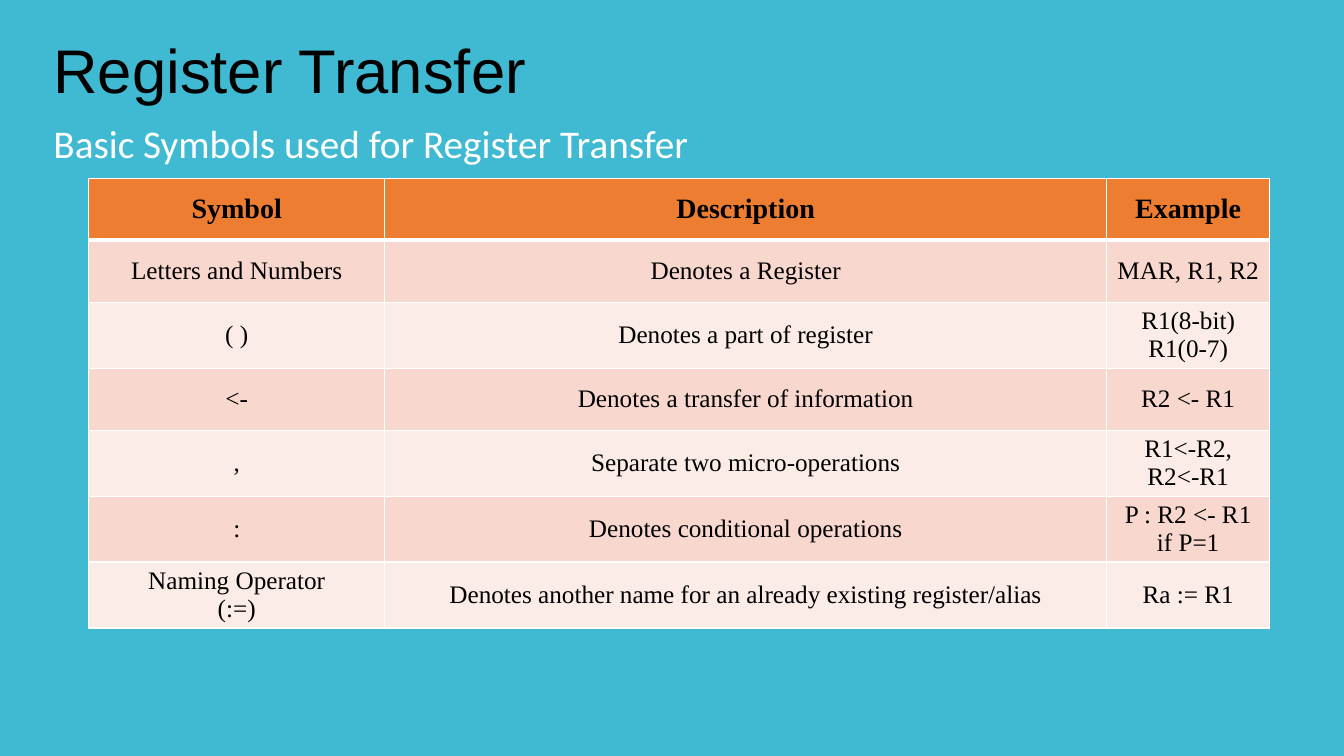
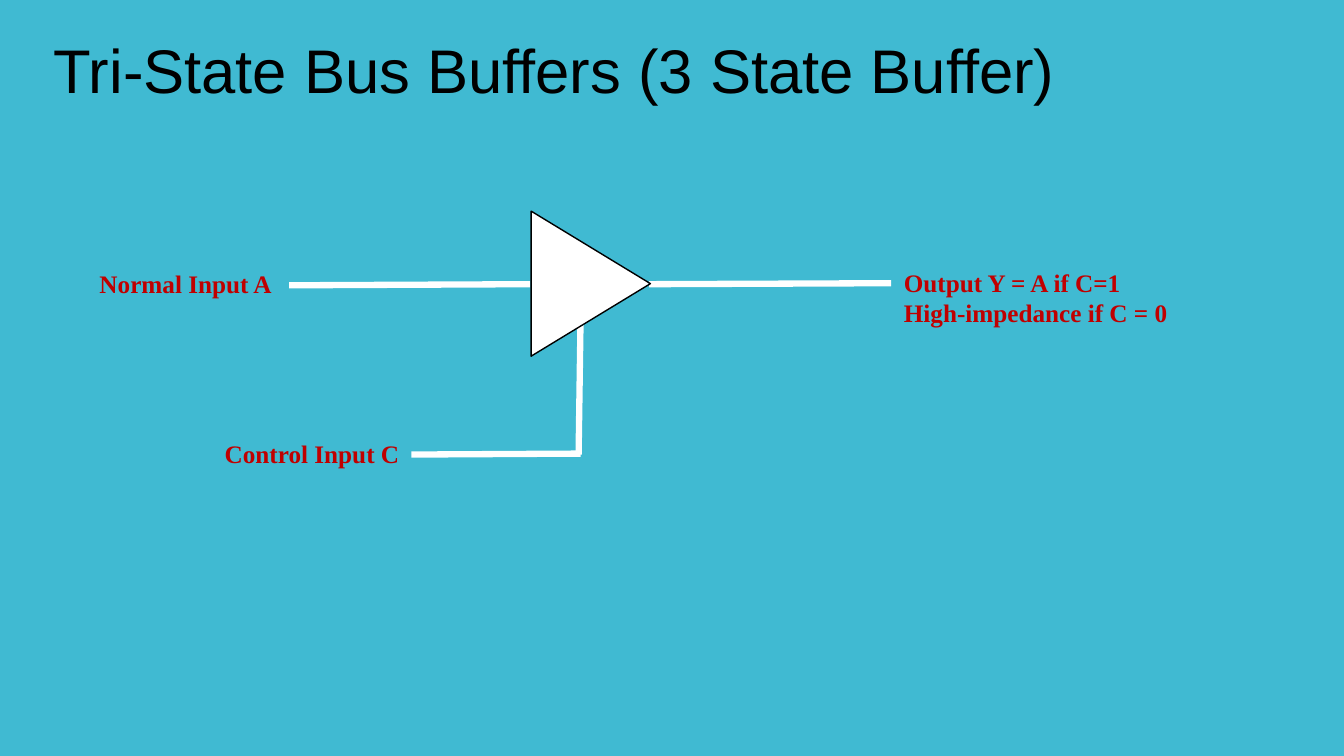
"""Build two slides on register transfer symbols and the tri-state buffer."""
from dataclasses import dataclass

from lxml.etree import SubElement
from pptx import Presentation
from pptx.dml.color import RGBColor as Color
from pptx.enum.shapes import MSO_CONNECTOR as Connector, MSO_SHAPE as Shape
from pptx.enum.text import MSO_ANCHOR as Anchor, MSO_AUTO_SIZE as AutoSize, PP_ALIGN as Align
from pptx.oxml.ns import qn
from pptx.util import Pt


@dataclass(frozen=True)
class Theme:
    background: Color = Color(0x40, 0xBA, 0xD2)
    black: Color = Color(0, 0, 0)
    white: Color = Color(0xFF, 0xFF, 0xFF)
    label: Color = Color(0xC0, 0, 0)
    header: Color = Color(0xED, 0x7D, 0x31)
    bands: tuple = (Color(0xFC, 0xEC, 0xE8), Color(0xF8, 0xD7, 0xCE))
    title_font: str = "Arial"
    body_font: str = "Calibri"
    detail_font: str = "Times New Roman"
    title_size: int = 44
    body_size: int = 28
    header_size: int = 20
    detail_size: int = 18


theme = Theme()


def write(frame, text, font=theme.detail_font, size=theme.detail_size, color=theme.black,
          bold=False, align=Align.LEFT, anchor=Anchor.TOP, spacing=1.0, before=0):
    frame.text = text
    frame.word_wrap = True
    frame.vertical_anchor = anchor
    for para in frame.paragraphs:
        para.alignment = align
        para.line_spacing = spacing
        para.space_before = Pt(before)
        for span in para.runs:
            span.font.name = font
            span.font.size = Pt(size)
            span.font.bold = bold
            span.font.color.rgb = color


def add_page(deck, layout, title):
    page = deck.slides.add_slide(deck.slide_layouts.get_by_name(layout))
    box = page.shapes.title
    box.left, box.top, box.width, box.height = Pt(31), Pt(0), Pt(828), Pt(104.4)
    write(box.text_frame, title, font=theme.title_font, size=theme.title_size,
          anchor=Anchor.MIDDLE, spacing=0.9)
    box.text_frame.auto_size = AutoSize.NONE
    return page


deck = Presentation()
deck.slide_width, deck.slide_height = Pt(960), Pt(540)
fill = deck.slide_master.background.fill
fill.solid()
fill.fore_color.rgb = theme.background

page = add_page(deck, "Title and Content", "Register Transfer")
box = page.placeholders[1]
box.left, box.top, box.width, box.height = Pt(31), Pt(81.4), Pt(885), Pt(45.4)
write(box.text_frame, "Basic Symbols used for Register Transfer", font=theme.body_font,
      size=theme.body_size, color=theme.white, align=Align.JUSTIFY, before=10)
box.text_frame.auto_size = AutoSize.NONE
properties = box.text_frame.paragraphs[0]._p.get_or_add_pPr()
properties.set("marL", "0")
properties.set("indent", "0")
SubElement(properties, qn("a:buNone"))

symbols = [
    ("Symbol", "Description", "Example"),
    ("Letters and Numbers", "Denotes a Register", "MAR, R1, R2"),
    ("( )", "Denotes a part of register", "R1(8-bit)\vR1(0-7)"),
    ("<-", "Denotes a transfer of information", "R2 <- R1"),
    (",", "Separate two micro-operations", "R1<-R2,\vR2<-R1"),
    (":", "Denotes conditional operations", "P : R2 <- R1\vif P=1"),
    ("Naming Operator\v(:=)", "Denotes another name for an already existing register/alias",
     "Ra := R1"),
]
widths = (211.4, 515.8, 116.2)
row_height = 44.3
table = page.shapes.add_table(len(symbols), len(widths), Pt(63.4), Pt(127.4),
                              Pt(sum(widths)), Pt(row_height * len(symbols))).table
for column, width in zip(table.columns, widths):
    column.width = Pt(width)
for row, texts in enumerate(symbols):
    is_header = row == 0
    for column, text in enumerate(texts):
        cell = table.cell(row, column)
        write(cell.text_frame, text, bold=is_header, align=Align.CENTER,
              size=theme.header_size if is_header else theme.detail_size)
        cell.vertical_anchor = Anchor.MIDDLE
        for side in ("lnL", "lnR", "lnT", "lnB"):
            is_rule = (row, side) in ((0, "lnB"), (1, "lnT"))
            border = SubElement(cell._tc.get_or_add_tcPr(), qn(f"a:{side}"),
                                w=str(Pt(3 if is_rule else 1)))
            paint = SubElement(border, qn("a:solidFill"))
            SubElement(paint, qn("a:srgbClr"), val=str(theme.white))
        cell.fill.solid()
        cell.fill.fore_color.rgb = theme.header if is_header else theme.bands[row % 2]

page = add_page(deck, "Title Only", "Tri-State Bus Buffers (3 State Buffer)")
wires = [
    (378.7, 203, 206.6, 203.8),
    (636.5, 202.3, 463.7, 203),
    (414.7, 324, 293.8, 324.7),
    (413.3, 324.7, 414.7, 228.2),
]
for ends in wires:
    wire = page.shapes.add_connector(Connector.STRAIGHT, *map(Pt, ends))
    wire.line.color.rgb = theme.white
    wire.line.width = Pt(4.5)
    SubElement(wire._element.spPr, qn("a:effectLst"))

labels = [
    ("Normal Input A", 64, 188, 170.6, 29),
    ("Output Y = A if C=1\nHigh-impedance if C = 0", 638.6, 187.2, 220.3, 51),
    ("Control Input C", 153.4, 309.6, 170.6, 29),
]
for text, *place in labels:
    box = page.shapes.add_textbox(*map(Pt, place))
    write(box.text_frame, text, color=theme.label, bold=True)
    box.text_frame.auto_size = AutoSize.SHAPE_TO_FIT_TEXT

buffer = page.shapes.add_shape(Shape.ISOSCELES_TRIANGLE, Pt(370.2), Pt(160), Pt(103.6), Pt(85.2))
buffer.rotation = 90
buffer.shadow.inherit = False
buffer.fill.solid()
buffer.fill.fore_color.rgb = theme.white
buffer.line.color.rgb = theme.black
buffer.line.width = Pt(1)

deck.save("out.pptx")
